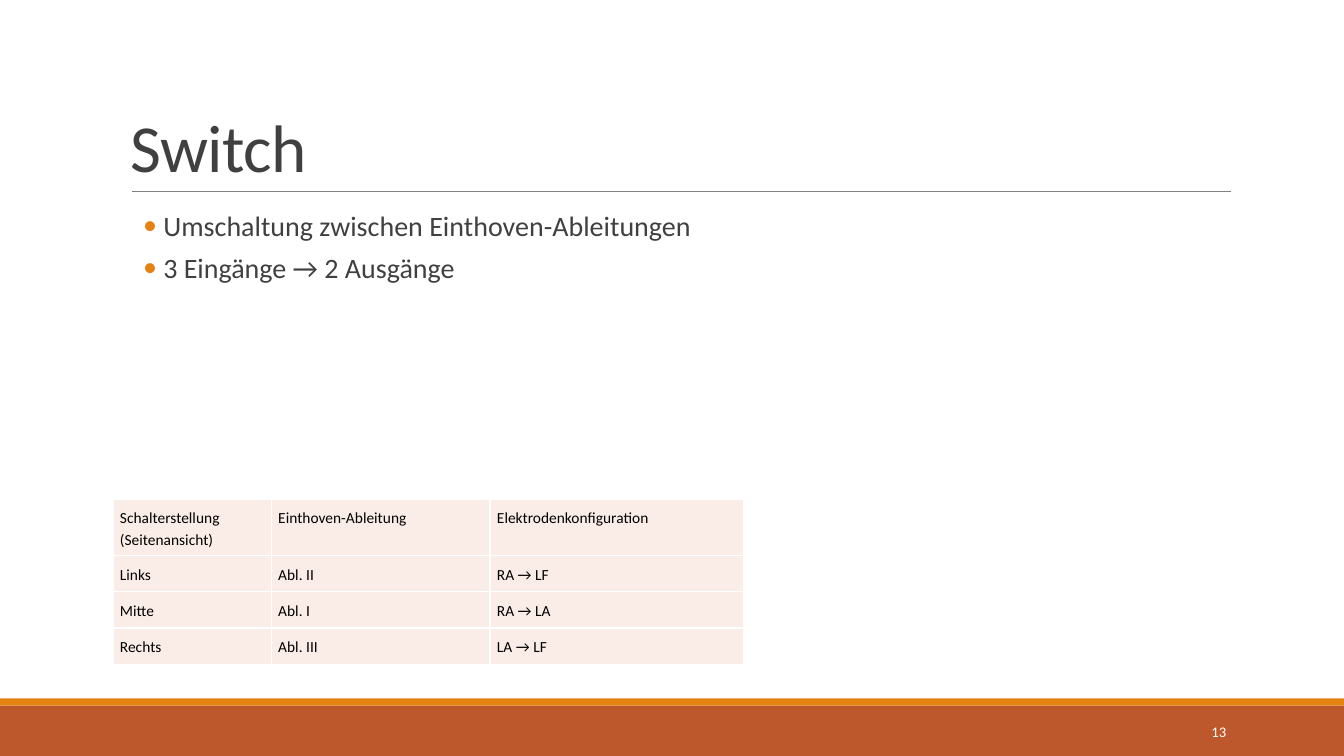
from dataclasses import dataclass

from pptx import Presentation
from pptx.dml.color import RGBColor
from pptx.enum.shapes import MSO_CONNECTOR, MSO_SHAPE
from pptx.enum.text import MSO_ANCHOR, PP_ALIGN
from pptx.oxml.ns import qn
from pptx.util import Inches, Pt
from lxml.etree import SubElement


@dataclass(frozen=True)
class Theme:
    font: str = "Calibri"
    orange: str = "E48312"
    rust: str = "BD582C"
    rule: str = "808080"
    ink: str = "404040"
    black: str = "000000"
    white: str = "FFFFFF"
    cell: str = "FAEDE7"
    title_size: float = 48
    body_size: float = 20
    table_size: float = 11
    number_size: float = 10.5


THEME = Theme()

BULLETS = ["Umschaltung zwischen Einthoven-Ableitungen", "3 Eingänge → 2 Ausgänge"]
SWITCH_POSITIONS = [
    ["Schalterstellung (Seitenansicht)", "Einthoven-Ableitung", "Elektrodenkonfiguration"],
    ["Links", "Abl. II", "RA → LF"],
    ["Mitte", "Abl. I", "RA → LA"],
    ["Rechts", "Abl. III", "LA → LF"],
]
COLUMN_WIDTHS = [1.57, 2.17, 2.52]
ROW_HEIGHTS = [0.56, 0.36, 0.36, 0.36]


def rgb(color):
    return RGBColor.from_string(color)


def write(frame, lines, size, color, align=PP_ALIGN.LEFT, line_spacing=1.0,
          before=0, after=0, tracking=0, bullet=None):
    """Fill a text frame with one paragraph per line; tracking is in points."""
    frame.word_wrap = True
    for index, line in enumerate(lines):
        paragraph = frame.paragraphs[0] if index == 0 else frame.add_paragraph()
        paragraph.alignment = align
        paragraph.line_spacing = line_spacing
        paragraph.space_before, paragraph.space_after = Pt(before), Pt(after)
        if bullet:
            add_bullet(paragraph, bullet)
        run = paragraph.add_run()
        run.text = line
        run.font.name, run.font.size = THEME.font, Pt(size)
        run.font.color.rgb = rgb(color)
        if tracking:
            run.font._element.set("spc", str(int(tracking * 100)))


def add_bullet(paragraph, character):
    properties = paragraph._p.get_or_add_pPr()
    properties.set("marL", str(Inches(0.42)))
    properties.set("indent", str(Inches(-0.2)))
    bullet_color = SubElement(properties, qn("a:buClr"))
    SubElement(bullet_color, qn("a:srgbClr"), val=THEME.orange)
    SubElement(properties, qn("a:buFont"), typeface=THEME.font)
    SubElement(properties, qn("a:buChar"), char=character)


def add_text(slide, box, lines, anchor=MSO_ANCHOR.TOP, side_inset=0.1, **style):
    frame = slide.shapes.add_textbox(*map(Inches, box)).text_frame
    frame.vertical_anchor = anchor
    frame.margin_left = frame.margin_right = Inches(side_inset)
    write(frame, lines, **style)


def add_band(slide, top, height, color):
    band = slide.shapes.add_shape(
        MSO_SHAPE.RECTANGLE, 0, Inches(top), Inches(13.33), Inches(height))
    band.shadow.inherit = False
    band.fill.solid()
    band.fill.fore_color.rgb = rgb(color)
    band.line.fill.background()


def add_rule(slide, left, right, y):
    rule = slide.shapes.add_connector(
        MSO_CONNECTOR.STRAIGHT, Inches(left), Inches(y), Inches(right), Inches(y))
    rule.line.color.rgb = rgb(THEME.rule)
    rule.line.width = Pt(0.5)
    SubElement(rule._element.spPr, qn("a:effectLst"))


def add_borders(cell):
    properties = cell._tc.get_or_add_tcPr()
    for side in ("lnL", "lnR", "lnT", "lnB"):
        border = SubElement(properties, qn(f"a:{side}"), w=str(Pt(1)))
        fill = SubElement(border, qn("a:solidFill"))
        SubElement(fill, qn("a:srgbClr"), val=THEME.white)


def add_switch_table(slide, left, top):
    table = slide.shapes.add_table(
        len(ROW_HEIGHTS), len(COLUMN_WIDTHS), Inches(left), Inches(top),
        Inches(sum(COLUMN_WIDTHS)), Inches(sum(ROW_HEIGHTS))).table
    table.first_row = table.horz_banding = False
    for column, width in zip(table.columns, COLUMN_WIDTHS):
        column.width = Inches(width)
    for row, height, entries in zip(table.rows, ROW_HEIGHTS, SWITCH_POSITIONS):
        row.height = Inches(height)
        for cell, entry in zip(row.cells, entries):
            cell.margin_left = cell.margin_right = Inches(0.07)
            cell.margin_top = cell.margin_bottom = Inches(0.07)
            add_borders(cell)
            cell.fill.solid()
            cell.fill.fore_color.rgb = rgb(THEME.cell)
            write(cell.text_frame, [entry], size=THEME.table_size,
                  color=THEME.black, line_spacing=1.15)


def main():
    deck = Presentation()
    deck.slide_width, deck.slide_height = Inches(13.33), Inches(7.5)
    slide = deck.slides.add_slide(deck.slide_layouts[6])

    add_band(slide, 7, 0.5, THEME.rust)
    add_band(slide, 6.93, 0.07, THEME.orange)
    add_rule(slide, 1.31, 12.21, 1.9)
    add_text(slide, (1.2, 0.31, 11, 1.59), ["Switch"], anchor=MSO_ANCHOR.BOTTOM,
             size=THEME.title_size, color=THEME.ink, line_spacing=0.85, tracking=-0.5)
    add_text(slide, (1.2, 2.02, 11, 4.4), BULLETS, side_inset=0, size=THEME.body_size,
             color=THEME.ink, before=2, after=4, bullet="•")
    add_text(slide, (10.83, 7.06, 1.43, 0.4), ["13"], anchor=MSO_ANCHOR.MIDDLE,
             size=THEME.number_size, color=THEME.white, align=PP_ALIGN.RIGHT)
    add_switch_table(slide, 1.12, 4.95)

    deck.save("out.pptx")


if __name__ == "__main__":
    main()
